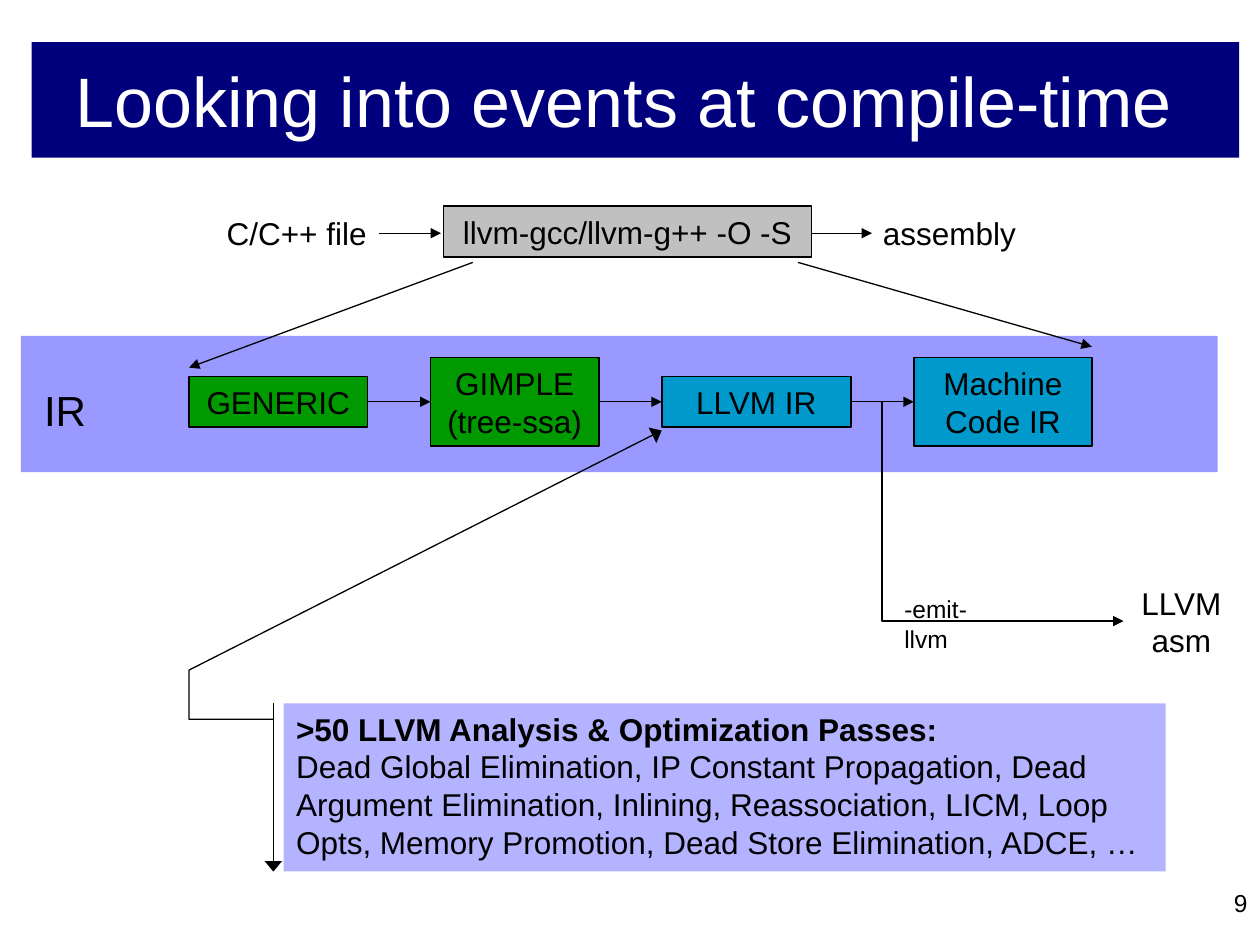
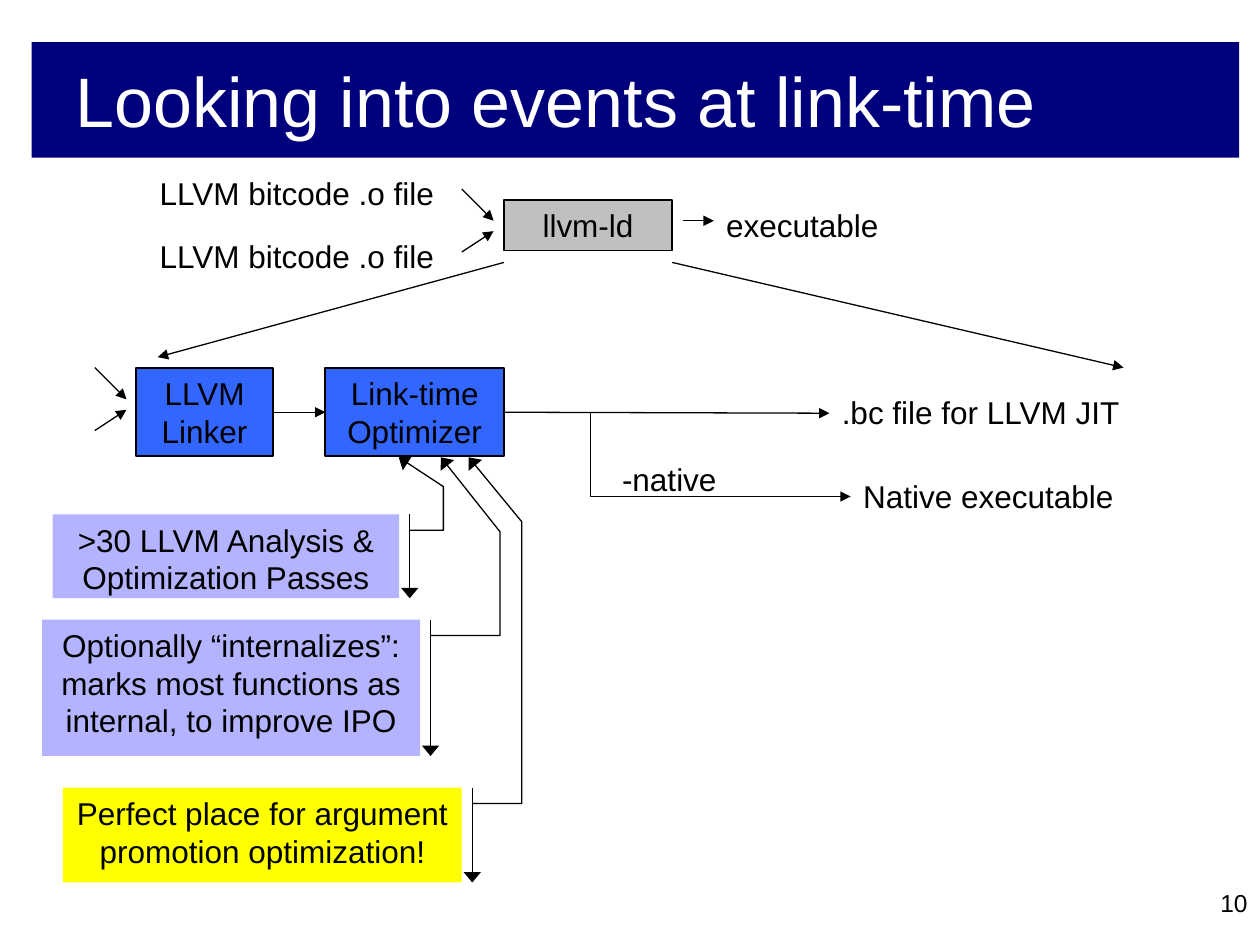
from lxml import etree
from pptx import Presentation, util as u
from pptx.dml.color import RGBColor
from pptx.enum import shapes, text
from pptx.oxml.ns import qn

FONT = "Arial"
BLACK = RGBColor(0x00, 0x00, 0x00)
WHITE = RGBColor(0xFF, 0xFF, 0xFF)
NAVY = RGBColor(0x00, 0x00, 0x7D)
GREY = RGBColor(0xC0, 0xC0, 0xC0)
LILAC = RGBColor(0x99, 0x99, 0xFF)
PALE = RGBColor(0xB3, 0xB3, 0xFF)
GREEN = RGBColor(0x00, 0x99, 0x00)
TEAL = RGBColor(0x00, 0x99, 0xCC)
BLUE = RGBColor(0x33, 0x66, 0xFF)
YELLOW = RGBColor(0xFF, 0xFF, 0x00)

LEFT, MID, RIGHT = text.PP_ALIGN.LEFT, text.PP_ALIGN.CENTER, text.PP_ALIGN.RIGHT
THIN = 0.75
LINE_H, PAIR_H = 1.02, 1.78  # heights of one-line and two-line boxes


def write(shape, words, size=18, color=BLACK, align=LEFT, lead=False,
          wrap=True, anchor=text.MSO_ANCHOR.TOP):
    """Fill a shape with text; lead makes the first paragraph bold."""
    frame = shape.text_frame
    frame.word_wrap = wrap
    frame.vertical_anchor = anchor
    frame.text = words
    for i, para in enumerate(frame.paragraphs):
        para.alignment = align
        font = para.runs[0].font
        font.name, font.size = FONT, u.Pt(size)
        font.color.rgb = color
        font.bold = lead and i == 0


class Deck:
    def __init__(self):
        self.prs = Presentation()
        self.prs.slide_width, self.prs.slide_height = u.Cm(25.4), u.Cm(19.05)
        self.slide = None

    def page(self, title, number):
        self.slide = self.prs.slides.add_slide(self.prs.slide_layouts[6])
        self.box(0.64, 0.85, 24.34, 2.33, NAVY)
        self.label(title, 1.27, 0.42, 22.86, 3.18, size=40, color=WHITE,
                   anchor=text.MSO_ANCHOR.MIDDLE)
        self.label(number, 20.11, 17.78, 5.29, 1.27, size=14, align=RIGHT)

    def label(self, words, x, y, w, h=LINE_H, **form):
        area = self.slide.shapes.add_textbox(u.Cm(x), u.Cm(y), u.Cm(w), u.Cm(h))
        write(area, words, **form)

    def box(self, x, y, w, h, fill, words="", edge=False, **form):
        rect = self.slide.shapes.add_shape(
            shapes.MSO_SHAPE.RECTANGLE, u.Cm(x), u.Cm(y), u.Cm(w), u.Cm(h))
        rect.shadow.inherit = False
        rect.fill.solid()
        rect.fill.fore_color.rgb = fill
        if edge:
            self.stroke(rect, 1)
        else:
            rect.line.fill.background()
        if words:
            write(rect, words, **form)

    def stroke(self, shape, width=THIN):
        shape.line.color.rgb = BLACK
        shape.line.width = u.Pt(width)

    def head(self, shape, wide=False):
        """Put a triangle at the end of a line."""
        line = shape.line._get_or_add_ln()
        etree.SubElement(line, qn("a:tailEnd"), type="triangle",
                         w="lg" if wide else "med", len="med")

    def arrow(self, x1, y1, x2, y2, bend=None, wide=False):
        """Straight arrow, or an elbow that turns at the share bend."""
        kind = shapes.MSO_CONNECTOR
        link = self.slide.shapes.add_connector(
            kind.STRAIGHT if bend is None else kind.ELBOW,
            u.Cm(x1), u.Cm(y1), u.Cm(x2), u.Cm(y2))
        self.stroke(link)
        self.head(link, wide)
        props = link._element.spPr
        etree.SubElement(props, qn("a:effectLst"))
        if bend is not None:
            guides = props.find(qn("a:prstGeom")).find(qn("a:avLst"))
            etree.SubElement(guides, qn("a:gd"), name="adj1",
                             fmla=f"val {round(bend * 100000)}")

    def chain(self, points):
        """Open line through points with an arrowhead at its end."""
        start, *rest = [(u.Cm(x), u.Cm(y)) for x, y in points]
        build = self.slide.shapes.build_freeform(*start)
        build.add_line_segments(rest, close=False)
        shape = build.convert_to_shape()
        shape.shadow.inherit = False
        shape.fill.background()
        self.stroke(shape)
        self.head(shape, wide=True)

    def note(self, words, x, y, w, h, turn, tip, fill=PALE, side=RIGHT, **form):
        """Filled note with a bar beside it and a leader to its target."""
        self.box(x, y, w, h, fill, words, **form)
        bar = x + w + 0.21 if side == RIGHT else x - 0.21
        start = y + 0.32
        self.chain([(bar, start), (turn[0], start), turn, tip])
        self.arrow(bar, y, bar, y + h, wide=True)

    def row(self, x, mid, gap, stages):
        """Boxes centred on one line, joined by arrows."""
        for i, (words, w, h, fill) in enumerate(stages):
            if i:
                self.arrow(x - gap, mid, x, mid)
            self.box(x, mid - h / 2, w, h, fill, words, edge=True, align=MID)
            x += w + gap


def compile_time(deck):
    deck.page("Looking into events at compile-time", "9")
    deck.box(0.42, 6.77, 24.13, 2.75, LILAC)
    deck.label("IR", 0.64, 7.62, 1.85, 1.27, size=24)

    # Compiler call
    deck.label("C/C++ file", 4.32, 4.19, 4.37)
    deck.box(8.94, 4.16, 7.42, LINE_H, GREY, "llvm-gcc/llvm-g++ -O -S",
             edge=True, align=MID)
    deck.label("assembly", 17.55, 4.19, 4.57)
    deck.arrow(7.65, 4.7, 8.89, 4.7)
    deck.arrow(16.36, 4.7, 17.58, 4.7)
    deck.arrow(9.53, 5.29, 3.81, 7.41)
    deck.arrow(16.09, 5.29, 22.01, 6.99)

    # Stages of the representation
    deck.row(3.81, 8.1, 1.27, [
        ("GENERIC", 3.6, LINE_H, GREEN),
        ("GIMPLE\n(tree-ssa)", 3.39, PAIR_H, GREEN),
        ("LLVM IR", 3.81, LINE_H, TEAL),
        ("Machine Code IR", 3.6, PAIR_H, TEAL),
    ])

    # Passes and side output
    deck.note(">50 LLVM Analysis & Optimization Passes:\n"
              "Dead Global Elimination, IP Constant Propagation, Dead Argument "
              "Elimination, Inlining, Reassociation, LICM, Loop Opts, Memory "
              "Promotion, Dead Store Elimination, ADCE, …",
              5.72, 14.18, 17.78, 3.39, (3.81, 13.51), (13.34, 8.68),
              side=LEFT, lead=True)
    deck.arrow(17.78, 8.08, 22.65, 12.52, bend=0)
    deck.label("-emit-llvm", 17.98, 11.86, 2.64, 0.86, size=14, wrap=False)
    deck.label("LLVM asm", 22.65, 11.64, 2.33, PAIR_H, align=MID)


def link_time(deck):
    deck.page("Looking into events at link-time", "10")

    # Linker call
    for y in (3.38, 4.65):
        deck.label("LLVM bitcode .o file", 2.97, y, 6.77)
    deck.box(10.16, 4.03, 3.39, LINE_H, GREY, "llvm-ld", edge=True, align=MID)
    deck.label("executable", 14.39, 4.02, 3.6)
    deck.arrow(13.76, 4.45, 14.39, 4.45)
    deck.arrow(10.16, 5.29, 3.18, 7.2)
    deck.arrow(13.55, 5.29, 22.65, 7.41)

    # Two inputs merging, at the call and at the linker stage
    for x, y in ((9.31, 3.81), (1.91, 7.41)):
        deck.arrow(x, y, x + 0.64, y + 0.64)
        deck.arrow(x, y + 1.27, x + 0.64, y + 0.85)

    # Stages and their results
    deck.row(2.75, 8.31, 1.06, [
        ("LLVM Linker", 2.75, PAIR_H, BLUE),
        ("Link-time Optimizer", 3.6, PAIR_H, BLUE),
    ])
    deck.arrow(10.16, 8.31, 16.72, 8.33)
    deck.label(".bc file for LLVM JIT", 16.72, 7.8, 6.35)
    deck.arrow(10.16, 8.31, 17.15, 10.01, bend=0.25)
    deck.label("-native", 12.29, 9.14, 2.41, wrap=False)
    deck.label("Native executable", 17.15, 9.5, 5.72)

    # Notes on the optimizer
    deck.note(">30 LLVM Analysis & Optimization Passes",
              1.06, 10.37, 6.99, 1.69, (8.94, 9.81), (8.04, 9.22), align=MID)
    deck.note("Optionally “internalizes”: marks most functions as internal, "
              "to improve IPO",
              0.85, 12.49, 7.62, 2.75, (10.08, 10.72), (8.89, 9.22), align=MID)
    deck.note("Perfect place for argument promotion optimization!",
              1.27, 15.88, 8.04, 1.91, (10.52, 10.52), (9.45, 9.22),
              fill=YELLOW, align=MID)


def main():
    deck = Deck()
    compile_time(deck)
    link_time(deck)
    deck.prs.save("out.pptx")


if __name__ == "__main__":
    main()
